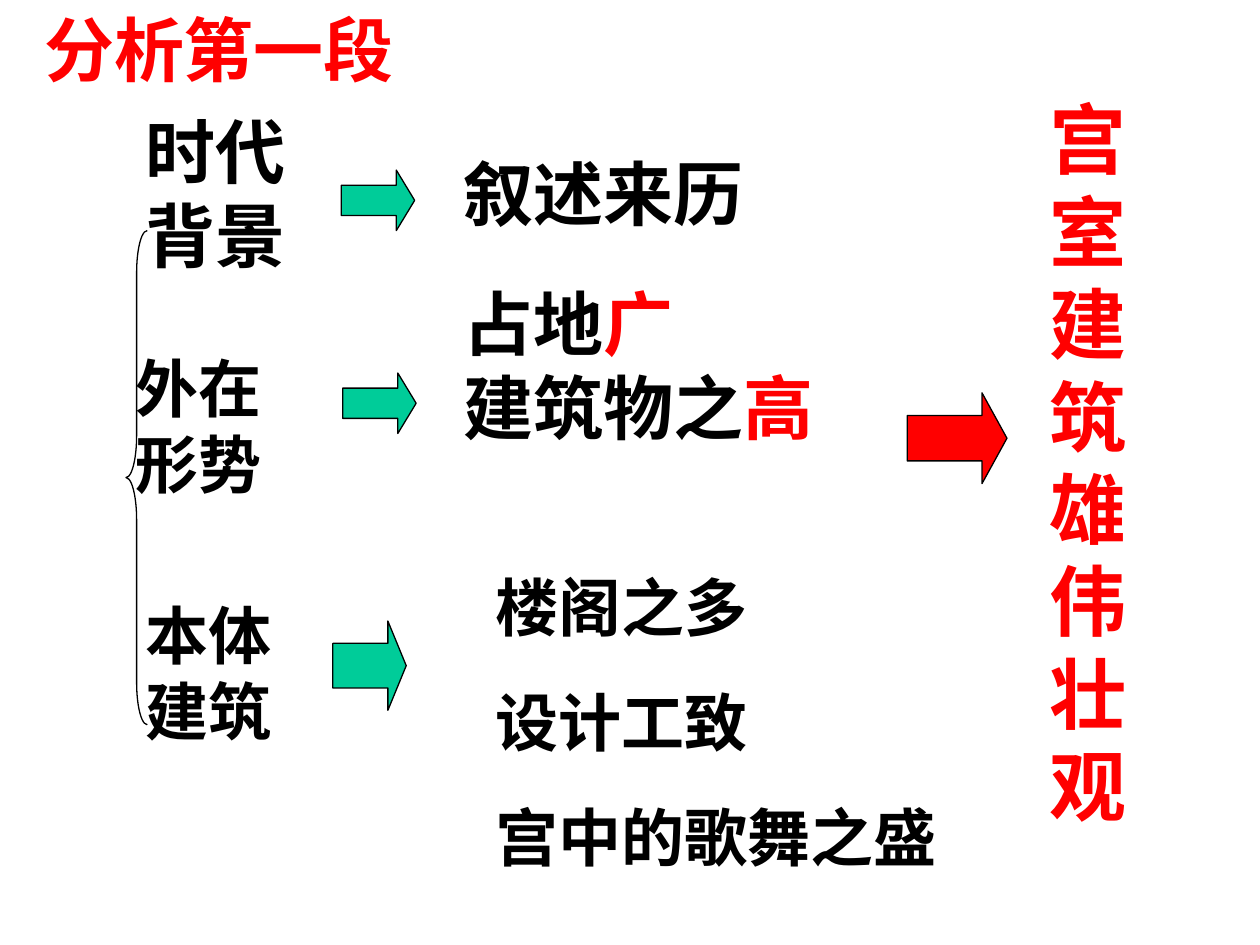
from dataclasses import dataclass

import pptx
import pptx.dml.color
import pptx.enum.shapes
import pptx.enum.text
import pptx.util

Cm = pptx.util.Cm
Pt = pptx.util.Pt
RGBColor = pptx.dml.color.RGBColor
Preset = pptx.enum.shapes.MSO_SHAPE

BLACK = RGBColor(0x00, 0x00, 0x00)
RED = RGBColor(0xFF, 0x00, 0x00)
GREEN = RGBColor(0x00, 0xCC, 0x99)
FONT = "Times New Roman"


@dataclass
class Phrase:
    text: str
    color: RGBColor = BLACK


@dataclass
class Passage:
    left: float
    top: float
    width: float
    height: float
    size: int
    lines: list[list[Phrase]]
    gap: float = 0


@dataclass
class Arrow:
    left: float
    top: float
    width: float
    height: float
    color: RGBColor = GREEN


PASSAGES = [
    Passage(0.64, 0, 13.54, 1.96, 40, [[Phrase("分析第一段", RED)]]),
    Passage(2.69, 2.06, 3.99, 3.66, 40, [[Phrase("时代背景")]]),
    Passage(2.49, 6.93, 4.24, 3.3, 36, [[Phrase("外在形势")]]),
    Passage(2.69, 11.91, 4.24, 3.3, 36, [[Phrase("本体建筑")]]),
    Passage(9.09, 2.9, 10.59, 1.96, 40, [[Phrase("叙述来历")]]),
    Passage(9.09, 5.54, 10.59, 3.66, 40, [
        [Phrase("占地"), Phrase("广", RED)],
        [Phrase("建筑物之"), Phrase("高", RED)],
    ]),
    Passage(9.73, 11.33, 15.67, 8.74, 36, [
        [Phrase("楼阁之多")],
        [Phrase("设计工致")],
        [Phrase("宫中的歌舞之盛")],
    ], gap=22.5),
    Passage(20.9, 1.73, 2.39, 15.16, 44, [[Phrase("宫室建筑雄伟壮观", RED)]]),
]

ARROWS = [
    Arrow(6.88, 3.43, 1.48, 1.22),
    Arrow(6.91, 7.52, 1.48, 1.22),
    Arrow(6.71, 12.52, 1.48, 1.8),
    Arrow(18.29, 7.92, 2.01, 1.83, RED),
]


def draw_passage(slide: pptx.slide.Slide, passage: Passage) -> None:
    box = slide.shapes.add_textbox(
        Cm(passage.left), Cm(passage.top), Cm(passage.width), Cm(passage.height))
    frame = box.text_frame
    frame.word_wrap = True
    frame.auto_size = pptx.enum.text.MSO_AUTO_SIZE.SHAPE_TO_FIT_TEXT
    for index, phrases in enumerate(passage.lines):
        line = frame.add_paragraph() if index else frame.paragraphs[0]
        if index and passage.gap:
            line.space_before = Pt(passage.gap)
        for phrase in phrases:
            run = line.add_run()
            run.text = phrase.text
            run.font.name = FONT
            run.font.size = Pt(passage.size)
            run.font.bold = True
            run.font.color.rgb = phrase.color


def outline(shape: pptx.shapes.autoshape.Shape) -> None:
    shape.shadow.inherit = False
    shape.line.color.rgb = BLACK
    shape.line.width = Pt(0.75)


def draw_arrow(slide: pptx.slide.Slide, arrow: Arrow) -> None:
    pointer = slide.shapes.add_shape(
        Preset.RIGHT_ARROW,
        Cm(arrow.left), Cm(arrow.top), Cm(arrow.width), Cm(arrow.height))
    pointer.adjustments[1] = arrow.width / 4 / min(arrow.width, arrow.height)
    pointer.fill.solid()
    pointer.fill.fore_color.rgb = arrow.color
    outline(pointer)


def draw_brace(slide: pptx.slide.Slide) -> None:
    brace = slide.shapes.add_shape(
        Preset.LEFT_BRACE, Cm(2.54), Cm(4.65), Cm(0.43), Cm(9.96))
    brace.adjustments[0] = 1.96
    brace.fill.background()
    outline(brace)


def main() -> None:
    """Build the slide that analyses the first paragraph."""
    deck = pptx.Presentation()
    deck.slide_width, deck.slide_height = Cm(25.4), Cm(19.05)
    slide = deck.slides.add_slide(deck.slide_layouts[6])
    for passage in PASSAGES:
        draw_passage(slide, passage)
    draw_brace(slide)
    for arrow in ARROWS:
        draw_arrow(slide, arrow)
    deck.save("out.pptx")


if __name__ == "__main__":
    main()
